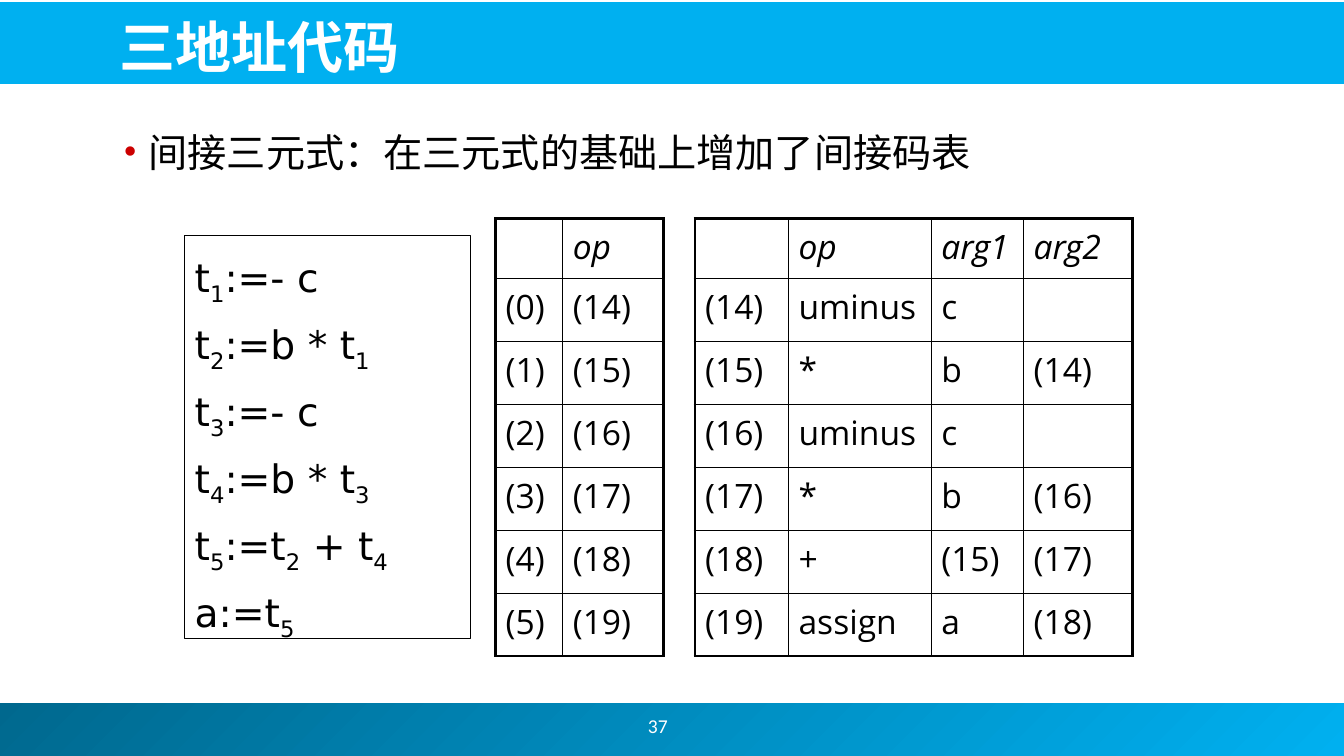
import pptx
import pptx.dml.color
import pptx.enum.shapes
import pptx.enum.text
import pptx.oxml
import pptx.oxml.ns
import pptx.util
from dataclasses import dataclass
from lxml import etree

EMU_PER_PX = 9525


@dataclass
class Theme:
    black: str = "000000"
    white: str = "FFFFFF"
    sky: str = "00B0F0"
    bullet: str = "CC0000"
    footer_stops: tuple = ("00688E", "00B0F0")
    title_font: str = "Noto Sans CJK JP"
    body_font: str = "Times New Roman"
    code_font: str = "DejaVu Sans"
    table_font: str = "Open Sans"
    number_font: str = "Calibri"
    title_size: int = 40
    body_size: int = 28
    table_size: int = 24
    number_size: int = 14
    box_line: float = 0.75
    grid_line: float = 1
    frame_line: float = 2.25


def px(*lengths):
    return [pptx.util.Emu(length * EMU_PER_PX) for length in lengths]


def rgb(color):
    return pptx.dml.color.RGBColor.from_string(color)


def add_xml(parent, tag, **attributes):
    return etree.SubElement(parent, pptx.oxml.ns.qn(tag), attributes)


class SlideBuilder:
    def __init__(self, slide, theme):
        self.slide = slide
        self.theme = theme

    def format_run(self, run, font_name, size, color, bold=False, italic=False):
        font = run.font
        font.name, font.size = font_name, pptx.util.Pt(size)
        font.bold, font.italic = bold, italic
        font.color.rgb = rgb(color)

    def set_east_asian_font(self, run):
        add_xml(run._r.get_or_add_rPr(), "a:ea", typeface=self.theme.title_font)

    def rectangle(self, box):
        shape = self.slide.shapes.add_shape(
            pptx.enum.shapes.MSO_SHAPE.RECTANGLE, *px(*box))
        shape.shadow.inherit = False
        return shape

    def band(self, box, colors):
        """Add a borderless strip behind everything else."""
        shape = self.rectangle(box)
        shape.line.fill.background()
        if len(colors) == 1:
            shape.fill.solid()
            shape.fill.fore_color.rgb = rgb(colors[0])
        else:
            shape.fill.gradient()
            shape.fill.gradient_angle = 315
            for stop, color in zip(shape.fill.gradient_stops, colors):
                stop.color.rgb = rgb(color)
        self.slide.shapes._spTree.insert(2, shape._element)

    def place(self, placeholder, box, text, anchor):
        placeholder.left, placeholder.top, placeholder.width, placeholder.height = px(*box)
        frame = placeholder.text_frame
        frame.text = text
        frame.auto_size = pptx.enum.text.MSO_AUTO_SIZE.NONE
        frame.vertical_anchor = anchor
        paragraph = frame.paragraphs[0]
        paragraph.alignment = pptx.enum.text.PP_ALIGN.LEFT
        paragraph.space_before = pptx.util.Pt(0)
        return paragraph

    def title(self, box, text):
        paragraph = self.place(self.slide.shapes.title, box, text,
                               pptx.enum.text.MSO_ANCHOR.BOTTOM)
        theme = self.theme
        run = paragraph.runs[0]
        self.format_run(run, theme.title_font, theme.title_size, theme.white, bold=True)
        self.set_east_asian_font(run)

    def bullet(self, box, text, margin, hanging):
        paragraph = self.place(self.slide.placeholders[1], box, text,
                               pptx.enum.text.MSO_ANCHOR.TOP)
        paragraph.level = 2
        properties = paragraph._p.get_or_add_pPr()
        properties.set("marL", str(margin * EMU_PER_PX))
        properties.set("indent", str(-hanging * EMU_PER_PX))
        add_xml(add_xml(properties, "a:buClr"), "a:srgbClr", val=self.theme.bullet)
        add_xml(properties, "a:buFont", typeface=self.theme.body_font)
        add_xml(properties, "a:buChar", char="•")
        paragraph.line_spacing = 1.2
        run = paragraph.runs[0]
        self.format_run(run, self.theme.body_font, self.theme.body_size, self.theme.black)
        self.set_east_asian_font(run)

    def page_number(self, box, text):
        frame = self.slide.shapes.add_textbox(*px(*box)).text_frame
        frame.word_wrap = True
        frame.vertical_anchor = pptx.enum.text.MSO_ANCHOR.MIDDLE
        frame.text = text
        paragraph = frame.paragraphs[0]
        paragraph.alignment = pptx.enum.text.PP_ALIGN.CENTER
        theme = self.theme
        self.format_run(paragraph.runs[0], theme.number_font, theme.number_size, theme.white)

    def code_box(self, box, lines):
        """Add framed code; a digit after "_" becomes a subscript."""
        theme = self.theme
        shape = self.rectangle(box)
        shape.fill.background()
        shape.line.color.rgb = rgb(theme.black)
        shape.line.width = pptx.util.Pt(theme.box_line)
        frame = shape.text_frame
        frame.vertical_anchor = pptx.enum.text.MSO_ANCHOR.TOP
        paragraph = frame.paragraphs[0]
        paragraph.alignment = pptx.enum.text.PP_ALIGN.LEFT
        paragraph.line_spacing = 1.25
        for index, line in enumerate(lines):
            if index:
                paragraph.add_line_break()
            first, *rest = line.split("_")
            pieces = [(first, False)]
            for part in rest:
                pieces += [(part[0], True), (part[1:], False)]
            for text, subscript in pieces:
                if text:
                    run = paragraph.add_run()
                    run.text = text
                    self.format_run(run, theme.code_font, theme.body_size, theme.black)
                    if subscript:
                        run._r.get_or_add_rPr().set("baseline", "-25000")

    def cell_borders(self, cell, outer_sides):
        properties = cell._tc.get_or_add_tcPr()
        for side, is_outer in outer_sides.items():
            width = self.theme.frame_line if is_outer else self.theme.grid_line
            line = add_xml(properties, f"a:ln{side}", w=str(pptx.util.Pt(width)))
            add_xml(add_xml(line, "a:solidFill"), "a:srgbClr", val=self.theme.black)

    def table(self, left, top, column_widths, row_heights, rows):
        theme = self.theme
        box = px(left, top, sum(column_widths), sum(row_heights))
        table = self.slide.shapes.add_table(len(rows), len(column_widths), *box).table
        table.first_row = table.horz_banding = False
        for column, width in zip(table.columns, px(*column_widths)):
            column.width = width
        for row, height in zip(table.rows, px(*row_heights)):
            row.height = height
        last_row, last_column = len(rows) - 1, len(column_widths) - 1
        for r, texts in enumerate(rows):
            for c, text in enumerate(texts):
                cell = table.cell(r, c)
                self.cell_borders(cell, {"L": c == 0, "R": c == last_column,
                                         "T": r == 0, "B": r == last_row})
                cell.fill.background()
                if text:
                    cell.text_frame.text = text
                    self.format_run(cell.text_frame.paragraphs[0].runs[0], theme.table_font,
                                    theme.table_size, theme.black, italic=r == 0)


def main():
    presentation = pptx.Presentation()
    presentation.slide_width, presentation.slide_height = px(1280, 720)
    slide = presentation.slides.add_slide(presentation.slide_layouts[1])
    theme = Theme()
    builder = SlideBuilder(slide, theme)

    builder.band((-2, 2, 1283, 78), [theme.sky])
    builder.band((-5, 670, 1285, 50), theme.footer_stops)
    builder.title((104, 5, 1134, 76), "三地址代码")
    builder.bullet((24, 108, 1041, 126), "间接三元式：在三元式的基础上增加了间接码表",
                   margin=108, hanging=24)
    builder.page_number((488, 667, 277, 48), "37")
    builder.code_box((176, 224, 272, 384), [
        "t_1:=- c", "t_2:=b * t_1", "t_3:=- c",
        "t_4:=b * t_3", "t_5:=t_2 + t_4", "a:=t_5"])

    triples = [("uminus", "c", ""), ("*", "b", "(14)"), ("uminus", "c", ""),
               ("*", "b", "(16)"), ("+", "(15)", "(17)"), ("assign", "a", "(18)")]
    addresses = [f"({14 + index})" for index in range(len(triples))]
    row_heights = [57] + [60] * len(triples)
    builder.table(472, 208, [64, 96], row_heights, [("", "op")] + [
        (f"({index})", address) for index, address in enumerate(addresses)])
    builder.table(662, 208, [89, 136, 88, 104], row_heights, [("", "op", "arg1", "arg2")] + [
        (address, *triple) for address, triple in zip(addresses, triples)])

    presentation.save("out.pptx")


if __name__ == "__main__":
    main()
